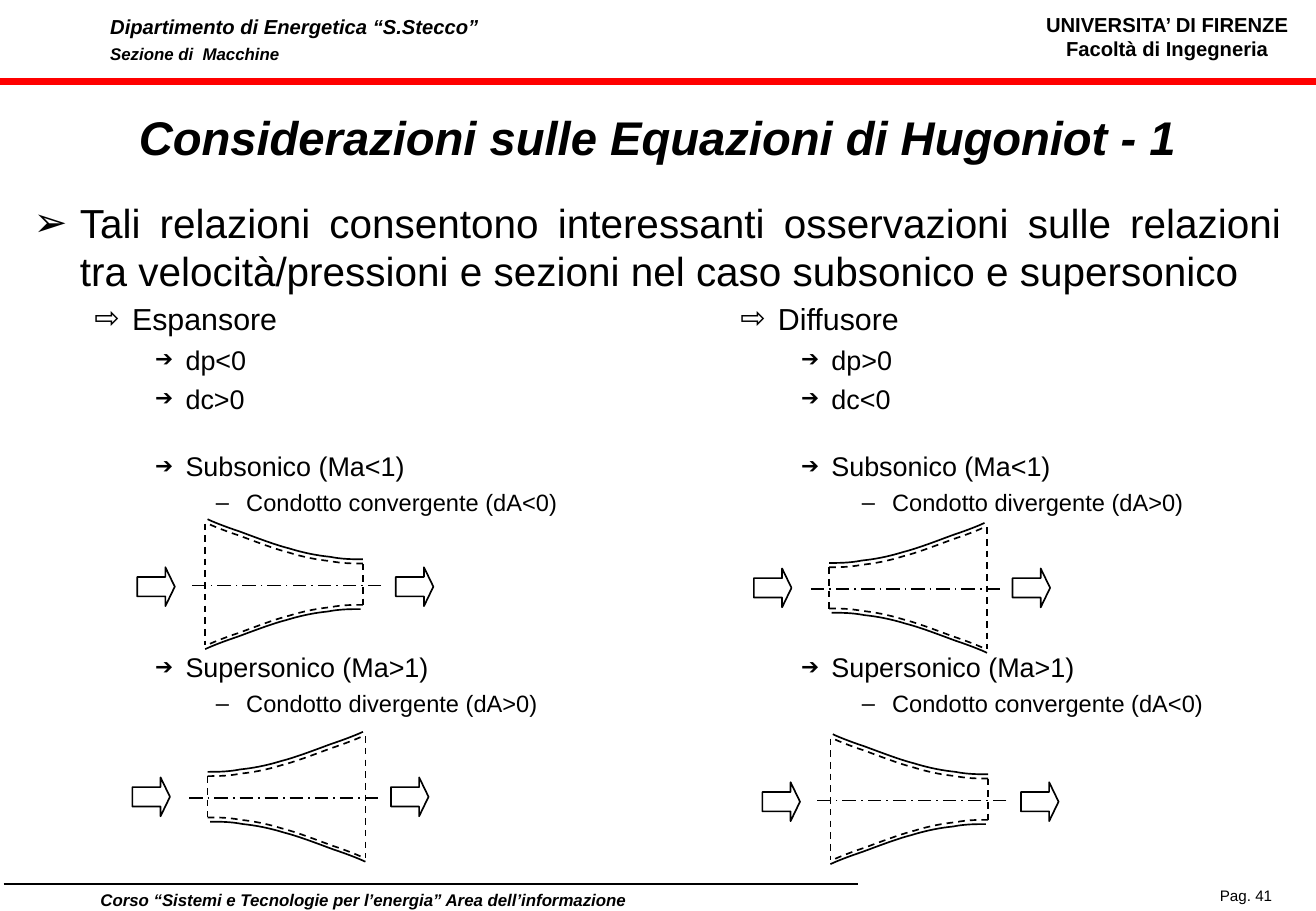
from lxml import etree
from pptx import Presentation
from pptx.dml.color import RGBColor
from pptx.enum import dml, shapes, text
from pptx.oxml import ns
from pptx.util import Inches, Pt

BLACK = RGBColor(0x00, 0x00, 0x00)
RED = RGBColor(0xFF, 0x00, 0x00)
FONT = "Arial"
LEFT, CENTER, JUSTIFY = text.PP_ALIGN.LEFT, text.PP_ALIGN.CENTER, text.PP_ALIGN.JUSTIFY
DASH, DASH_DOT = dml.MSO_LINE.DASH, dml.MSO_LINE.LONG_DASH_DOT

# Outline levels: bullet, bullet size in %, indent, hanging, font size, space before
TOPIC = dict(bullet="➢", indent=0.38, hanging=0.38, size=24, before=6)
DEVICE = dict(level=1, bullet="⇨", indent=0.81, hanging=0.31, size=18, before=4.5)
CASE = dict(level=2, bullet="➔", bullet_size=80, indent=1.25, hanging=0.25, size=16, before=4)
DUCT = dict(level=3, bullet="–", indent=1.75, hanging=0.25, size=14, before=3.5)

# Wall from throat to mouth: distance along the axis and rise, as Bezier points
WALL = [(0, 0), (0.08, 0), (0.17, 0), (0.27, 0.02),
        (0.37, 0.03), (0.48, 0.05), (0.61, 0.09),
        (0.73, 0.12), (0.91, 0.19), (1.02, 0.23),
        (1.14, 0.27), (1.24, 0.31), (1.28, 0.33)]
DUCT_LENGTH = 1.3
HALF_THROAT, HALF_MOUTH = 0.17, 0.5
HALF_HEIGHT = 0.54


def add_frame(slide, left, top, width, height, wrap=True, anchor=text.MSO_ANCHOR.TOP):
    box = slide.shapes.add_textbox(Inches(left), Inches(top), Inches(width), Inches(height))
    frame = box.text_frame
    frame.word_wrap = wrap
    frame.vertical_anchor = anchor
    return frame


def write(frame, words, size=12, bold=False, italic=False, align=LEFT, level=0,
          before=0, spacing=None, bullet=None, bullet_size=100, indent=0, hanging=0):
    """Add one formatted paragraph to the frame."""
    first = frame.paragraphs[0]
    paragraph = frame.add_paragraph() if first.runs else first
    paragraph.alignment = align
    paragraph.level = level
    paragraph.space_before = Pt(before)
    if spacing:
        paragraph.line_spacing = Pt(spacing)
    run = paragraph.add_run()
    run.text = words
    run.font.name, run.font.size = FONT, Pt(size)
    run.font.bold, run.font.italic = bold, italic
    run.font.color.rgb = BLACK
    if bullet:
        props = paragraph._p.get_or_add_pPr()
        props.set("marL", str(Inches(indent)))
        props.set("indent", str(-Inches(hanging)))
        etree.SubElement(props, ns.qn("a:buSzPct"), val=str(bullet_size * 1000))
        etree.SubElement(props, ns.qn("a:buFont"), typeface=FONT)
        etree.SubElement(props, ns.qn("a:buChar"), char=bullet)


def style_line(shape, color=BLACK, width=1, dash=None):
    shape.line.color.rgb = color
    shape.line.width = Pt(width)
    if dash:
        shape.line.dash_style = dash


def add_line(slide, x1, y1, x2, y2, **style):
    line = slide.shapes.add_connector(shapes.MSO_CONNECTOR.STRAIGHT,
                                      Inches(x1), Inches(y1), Inches(x2), Inches(y2))
    etree.SubElement(line._element.spPr, ns.qn("a:effectLst"))
    style_line(line, **style)
    # effects must follow the line properties
    line._element.spPr.append(line._element.spPr.find(ns.qn("a:effectLst")))


def add_curve(slide, points, **style):
    """Draw Bezier segments through points: a start, then three for each segment."""
    start, *rest = [(Inches(x), Inches(y)) for x, y in points]
    builder = slide.shapes.build_freeform(*start)
    builder.add_line_segments(rest, close=False)
    curve = builder.convert_to_shape()
    curve.shadow.inherit = False
    curve.fill.background()
    style_line(curve, **style)
    steps = list(curve._element.iter(ns.qn("a:lnTo")))
    for i in range(0, len(steps), 3):
        bezier = etree.Element(ns.qn("a:cubicBezTo"))
        steps[i].addprevious(bezier)
        for step in steps[i:i + 3]:
            bezier.append(step[0])
            step.getparent().remove(step)


def add_flow_arrow(slide, left, top):
    arrow = slide.shapes.add_shape(shapes.MSO_SHAPE.RIGHT_ARROW,
                                   Inches(left), Inches(top), Inches(0.31), Inches(0.32))
    arrow.adjustments[0], arrow.adjustments[1] = 0.5, 0.25
    arrow.shadow.inherit = False
    arrow.fill.background()
    style_line(arrow)


def add_duct(slide, left, top, convergent):
    """Draw a duct with its axis, control volume and the flow arrows at both ends."""
    axis = top + HALF_HEIGHT
    inlet = left + (0.56 if convergent else 0.62)
    throat = inlet + DUCT_LENGTH if convergent else inlet
    along = -1 if convergent else 1
    mouth = throat + along * DUCT_LENGTH

    for side in (-1, 1):
        for gap, dash in ((0.035, None), (0, DASH)):
            shift = 0.02 if gap and side > 0 else 0
            wall = [(throat + along * (x + shift), axis + side * (HALF_THROAT + gap + rise))
                    for x, rise in WALL]
            add_curve(slide, wall, dash=dash)
    for x, half in ((throat, HALF_THROAT), (mouth, HALF_MOUTH)):
        add_line(slide, x, axis - half, x, axis + half, dash=DASH)
    add_line(slide, throat - along * 0.15, axis + 0.01,
             mouth + along * 0.13, axis + 0.01, dash=DASH_DOT)
    for x in (left, left + 2.13):
        add_flow_arrow(slide, x, axis - (0.14 if convergent else 0.16))


def add_header(slide):
    department = add_frame(slide, 0.81, 0.06, 3.66, 0.51)
    for words, size in (("Dipartimento di Energetica “S.Stecco”", 12),
                        ("Sezione di  Macchine", 10)):
        write(department, words, size=size, bold=True, italic=True, spacing=15)
    university = add_frame(slide, 8.5, 0.05, 2.23, 0.5, wrap=False)
    for words in ("UNIVERSITA’ DI FIRENZE", "Facoltà di Ingegneria"):
        write(university, words, bold=True, align=CENTER)
    add_line(slide, 0, 0.67, 10.84, 0.67, color=RED, width=4.5)


def add_footer(slide):
    add_line(slide, 0.03, 7.28, 7.07, 7.28)
    write(add_frame(slide, 0, 7.23, 5.98, 0.31),
          "Corso “Sistemi e Tecnologie per l’energia” Area dell’informazione",
          size=10, bold=True, italic=True, align=CENTER, spacing=15)
    write(add_frame(slide, 9.95, 7.25, 1.17, 0.25), "Pag. 41", size=9)


def add_column(slide, left, top, device, signs, ducts):
    outline = add_frame(slide, left, top, 5.15, 4.8)
    write(outline, device, align=JUSTIFY, **DEVICE)
    for sign in signs:
        write(outline, sign, align=JUSTIFY, **CASE)
    regimes = (("Subsonico (Ma<1)", 20.8), ("Supersonico (Ma>1)", 79.5))
    for (regime, before), (label, x, y, convergent) in zip(regimes, ducts):
        write(outline, regime, align=JUSTIFY, **{**CASE, "before": before})
        write(outline, label, align=JUSTIFY, **DUCT)
        add_duct(slide, left + x, top + y, convergent)


def build():
    deck = Presentation()
    deck.slide_width, deck.slide_height = Inches(10.84), Inches(7.5)
    slide = deck.slides.add_slide(deck.slide_layouts[6])
    add_header(slide)
    add_footer(slide)
    write(add_frame(slide, 0.81, 0.75, 9.21, 0.75, anchor=text.MSO_ANCHOR.MIDDLE),
          "Considerazioni sulle Equazioni di Hugoniot - 1",
          size=28, bold=True, italic=True, align=CENTER)
    write(add_frame(slide, 0.18, 1.58, 10.47, 0.96),
          "Tali relazioni consentono interessanti osservazioni sulle relazioni tra "
          "velocità/pressioni e sezioni nel caso subsonico e supersonico",
          align=JUSTIFY, **TOPIC)
    narrowing, widening = "Condotto convergente (dA<0)", "Condotto divergente (dA>0)"
    add_column(slide, 0.18, 2.42, "Espansore", ("dp<0", "dc>0"),
               ((narrowing, 0.95, 1.85, True), (widening, 0.91, 3.6, False)))
    add_column(slide, 5.5, 2.42, "Diffusore", ("dp>0", "dc<0"),
               ((widening, 0.71, 1.88, False), (narrowing, 0.78, 3.62, True)))
    deck.save("out.pptx")


if __name__ == "__main__":
    build()
